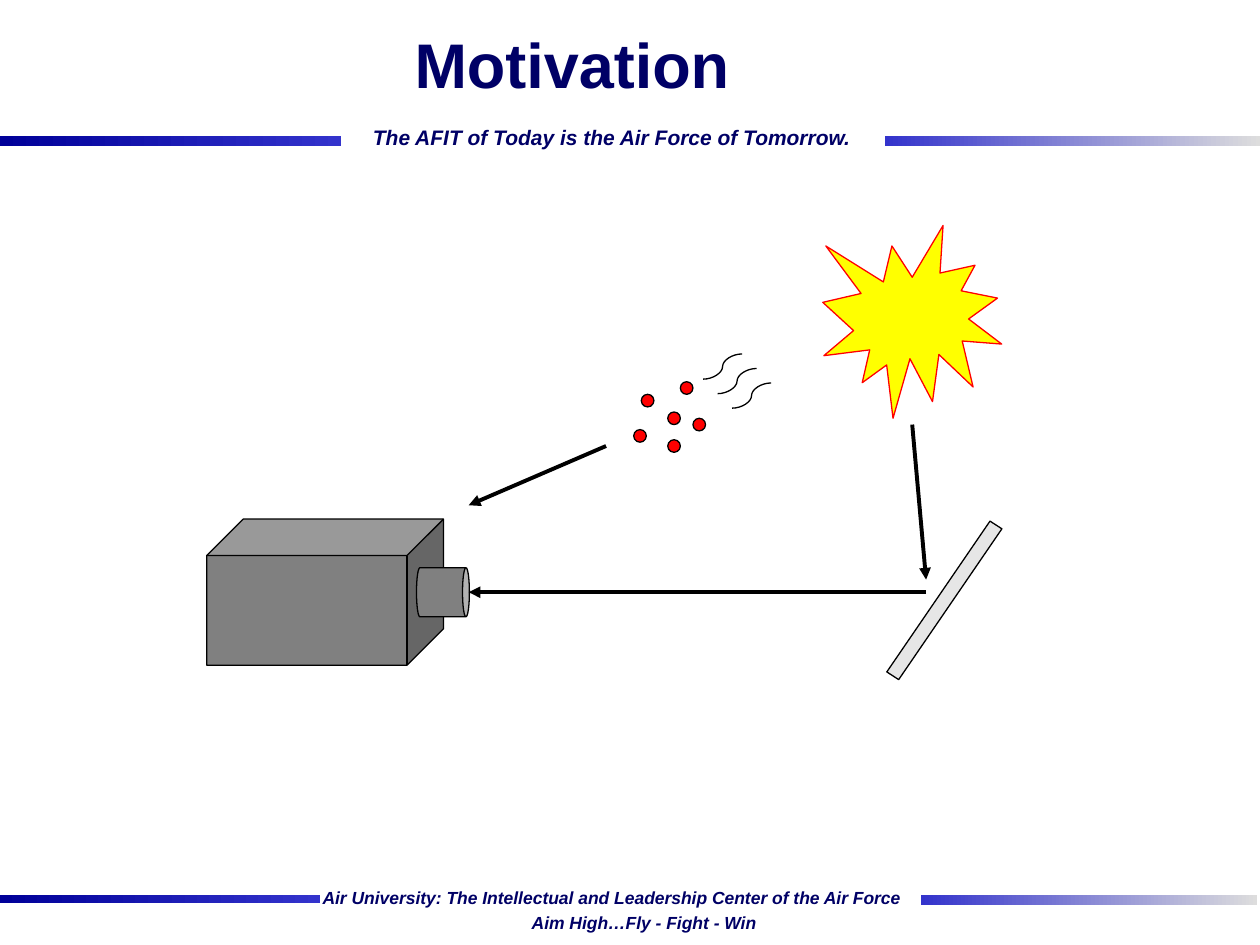
import pptx
import pptx.dml.color
import pptx.enum.shapes
import pptx.enum.text
import pptx.oxml
import pptx.util
from pptx.util import Inches

SHAPE = pptx.enum.shapes.MSO_SHAPE
CONNECTOR = pptx.enum.shapes.MSO_CONNECTOR
ALIGN = pptx.enum.text.PP_ALIGN
ANCHOR = pptx.enum.text.MSO_ANCHOR
NAVY, BLACK, RED = "000066", "000000", "FF0000"

# Content: gradient bars (left, top, width, height), start and end colours
DARK_BLUE, BLUE, PALE = "000099", "3333CC", "DDDDDD"
BARS = [
    ((7.02, 1.08, 2.98, 0.08), BLUE, PALE),
    ((0, 1.08, 2.71, 0.08), DARK_BLUE, BLUE),
    ((0, 7.1, 2.54, 0.07), DARK_BLUE, BLUE),
    ((7.31, 7.1, 2.67, 0.08), BLUE, PALE),
]

# Content: mottoes as text, box, size
MOTTOES = [
    ("The AFIT of Today is the Air Force of Tomorrow.", (2.88, 0.95, 4.01, 0.28), 12),
    ("Air University: The Intellectual and Leadership Center of the Air Force",
     (2.48, 7, 4.85, 0.25), 10),
    ("Aim High…Fly - Fight - Win", (4.14, 7.2, 1.99, 0.25), 10),
]
TITLE = ("Motivation", (0.86, -0.12, 7.36, 1.25), 36)

# Content: scene as preset, box, fill, outline, rotation
SCENE = {
    "sun": (SHAPE.EXPLOSION1, (6.53, 1.79, 1.42, 1.53), "FFFF00", RED, 0),
    "camera": (SHAPE.CUBE, (1.64, 4.12, 1.88, 1.16), "808080", BLACK, 0),
    "lens": (SHAPE.CAN, (3.32, 4.49, 0.39, 0.42), "808080", BLACK, 90),
    "mirror": (SHAPE.PARALLELOGRAM, (7.42, 4.04, 0.15, 1.45), "E6E6E6", BLACK, 32.9),
}
PARTICLE_SIZE = 0.1
PARTICLES = [(5.03, 3.41), (5.09, 3.13), (5.3, 3.49), (5.5, 3.32), (5.3, 3.27), (5.4, 3.03)]
WAVE_START, WAVE_RISE, WAVE_STEP, WAVE_COUNT = (5.58, 3.01), (0.31, -0.2), 0.115, 3
RAYS = [
    ((4.81, 3.54), (3.72, 4.01)),
    ((7.24, 3.37), (7.35, 4.6)),
    ((7.35, 4.7), (3.72, 4.7)),
]


def color(value):
    return pptx.dml.color.RGBColor.from_string(value)


def add_shape(preset, box, fill=None, outline=None, rotation=0):
    shape = slide.shapes.add_shape(preset, *map(Inches, box))
    shape.shadow.inherit = False
    shape.rotation = rotation
    if fill:
        shape.fill.solid()
        shape.fill.fore_color.rgb = color(fill)
    if outline:
        shape.line.color.rgb = color(outline)
        shape.line.width = pptx.util.Pt(0.75)
    else:
        shape.line.fill.background()
    return shape


def add_text(text, box, size, italic, wrap, align, anchor, margins):
    frame = slide.shapes.add_textbox(*map(Inches, box)).text_frame
    across, down = map(Inches, margins)
    frame_format = {"word_wrap": wrap, "vertical_anchor": anchor,
                    "margin_left": across, "margin_right": across,
                    "margin_top": down, "margin_bottom": down}
    for name, value in frame_format.items():
        setattr(frame, name, value)
    paragraph = frame.paragraphs[0]
    paragraph.text = text
    paragraph.alignment = align
    font_format = {"name": "Arial", "size": pptx.util.Pt(size), "bold": True, "italic": italic}
    for name, value in font_format.items():
        setattr(paragraph.font, name, value)
    paragraph.font.color.rgb = color(NAVY)


def add_line(kind, start, end, width, arrow=False):
    connector = slide.shapes.add_connector(kind, *map(Inches, (*start, *end)))
    connector.line.color.rgb = color(BLACK)
    connector.line.width = pptx.util.Pt(width)
    namespace = 'xmlns:a="http://schemas.openxmlformats.org/drawingml/2006/main"'
    if arrow:
        connector.line._get_or_add_ln().append(
            pptx.oxml.parse_xml(f'<a:tailEnd {namespace} type="triangle"/>'))
    connector._element.spPr.append(pptx.oxml.parse_xml(f"<a:effectLst {namespace}/>"))


presentation = pptx.Presentation()
presentation.slide_width, presentation.slide_height = Inches(10), Inches(7.5)
slide = presentation.slides.add_slide(presentation.slide_layouts[6])

# Header and footer bars
for box, *ends in BARS:
    bar = add_shape(SHAPE.RECTANGLE, box)
    bar.fill.gradient()
    bar.fill.gradient_angle = 0
    for stop, position, value in zip(bar.fill.gradient_stops, (0, 1), ends):
        stop.position = position
        stop.color.rgb = color(value)

# Mottoes and title
for motto in MOTTOES:
    add_text(*motto, True, False, ALIGN.LEFT, ANCHOR.TOP, (0.08, 0.04))
add_text(*TITLE, False, True, ALIGN.CENTER, ANCHOR.MIDDLE, (0.1, 0.05))

# Sun, camera, lens and mirror
scene = {name: add_shape(*part) for name, part in SCENE.items()}
scene["lens"].adjustments[0] = 0.14

# Particles, with heat waves rising from them
for left, top in PARTICLES:
    add_shape(SHAPE.OVAL, (left, top, PARTICLE_SIZE, PARTICLE_SIZE), RED, BLACK)
for index in range(WAVE_COUNT):
    start = [value + index * WAVE_STEP for value in WAVE_START]
    end = [value + rise for value, rise in zip(start, WAVE_RISE)]
    add_line(CONNECTOR.CURVE, start, end, 0.75)

# Light rays
for start, end in RAYS:
    add_line(CONNECTOR.STRAIGHT, start, end, 2.25, arrow=True)

presentation.save("out.pptx")
